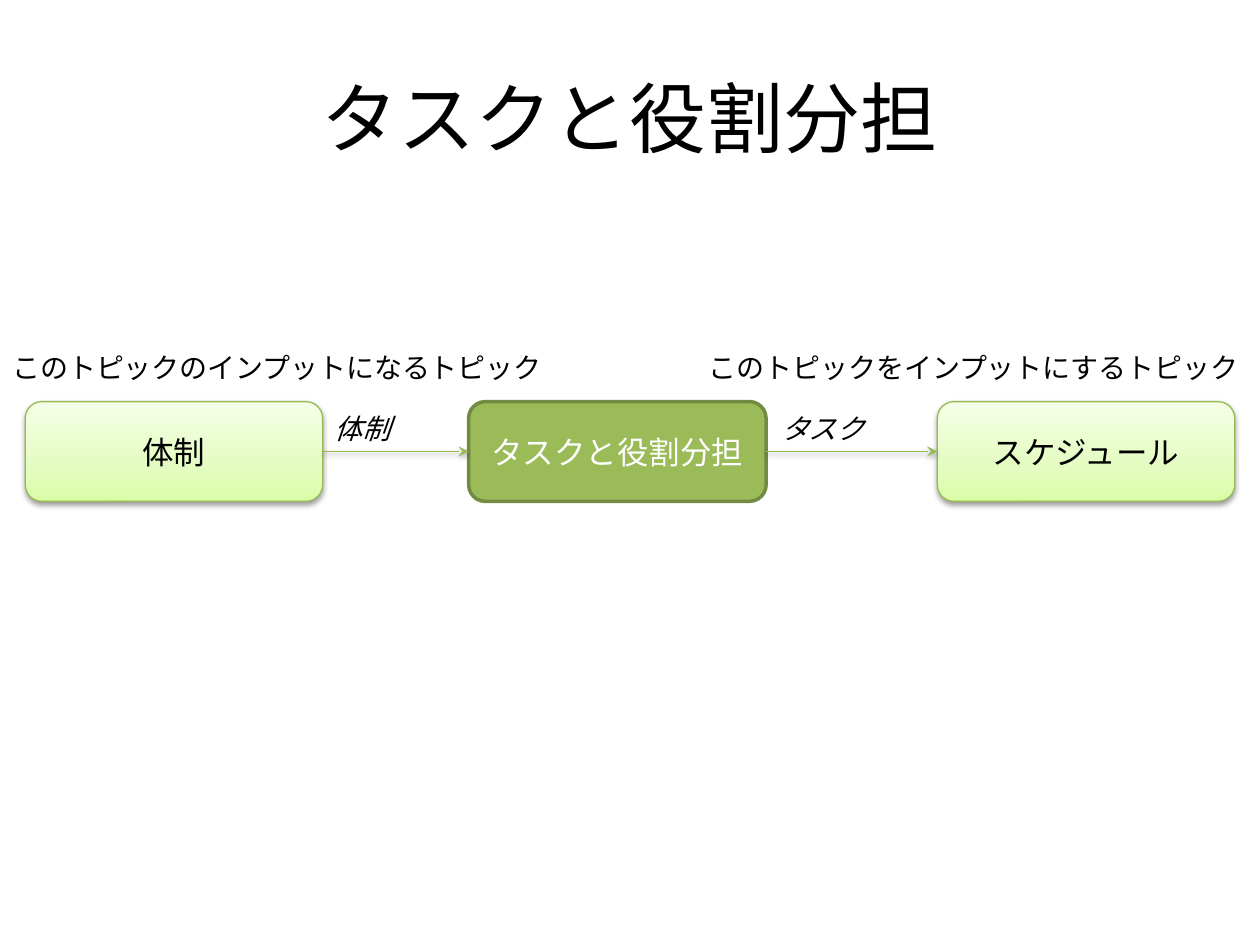
from dataclasses import dataclass

from lxml import etree
from pptx import Presentation
from pptx.dml.color import RGBColor
from pptx.enum.shapes import MSO_CONNECTOR, MSO_SHAPE
from pptx.enum.text import MSO_ANCHOR, MSO_AUTO_SIZE, PP_ALIGN
from pptx.oxml.ns import qn
from pptx.util import Pt

LEFT, CENTER = PP_ALIGN.LEFT, PP_ALIGN.CENTER
TOP, MIDDLE = MSO_ANCHOR.TOP, MSO_ANCHOR.MIDDLE
FIT_SHAPE = MSO_AUTO_SIZE.SHAPE_TO_FIT_TEXT
ROUNDED = MSO_SHAPE.ROUNDED_RECTANGLE
STRAIGHT = MSO_CONNECTOR.STRAIGHT
RIGHT_SITE, LEFT_SITE = 3, 1


@dataclass(frozen=True)
class Theme:
    """Colours, font and type sizes of the slide."""
    font: str = "Noto Sans CJK JP"
    ink: str = "000000"
    white: str = "FFFFFF"
    green: str = "9BBB59"
    green_edge: str = "738A42"
    thin_edge: str = "98B955"
    pale_stops: tuple = ((0, "DAFDA7"), (35, "E4FCC2"), (100, "F5FFE7"))
    title: int = 44
    topic: int = 18
    note: int = 16


THEME = Theme()
TOPIC_TOP, TOPIC_WIDTH, TOPIC_HEIGHT = 229.5, 170, 57


def add_node(parent, tag, **attributes):
    """Append a DrawingML element with the given attributes."""
    node = etree.SubElement(parent, qn(tag))
    for key, value in attributes.items():
        node.set(key, str(value))
    return node


def write(shape, text, size, color, align=LEFT, anchor=TOP, italic=None):
    """Put one styled paragraph in a shape and return it."""
    frame = shape.text_frame
    frame.vertical_anchor = anchor
    para = frame.paragraphs[0]
    para.text = text
    para.alignment = align
    font = para.font
    font.size = Pt(size)
    font.italic = italic
    font.color.rgb = RGBColor.from_string(color)
    font.name = THEME.font
    add_node(para._p.pPr.find(qn("a:defRPr")), "a:ea", typeface=THEME.font)
    return para


def add_text(page, bounds, text, size, wrap=True, fit=True, **style):
    """Add a text box."""
    box = page.shapes.add_textbox(*map(Pt, bounds))
    box.text_frame.word_wrap = wrap
    if fit:
        box.text_frame.auto_size = FIT_SHAPE
    return write(box, text, size, THEME.ink, **style)


def add_tab(para, position):
    """Give a paragraph one left tab stop."""
    tabs = etree.Element(qn("a:tabLst"))
    add_node(tabs, "a:tab", pos=int(Pt(position)), algn="l")
    para._p.pPr.insert(0, tabs)


def add_shadow(shape):
    """Add a soft shadow below a shape or connector."""
    effects = add_node(shape._element.spPr, "a:effectLst")
    shadow = add_node(effects, "a:outerShdw", blurRad=int(Pt(3.15)),
                      dist=int(Pt(1.57)), dir=5400000, rotWithShape=0)
    color = add_node(shadow, "a:srgbClr", val=THEME.ink)
    add_node(color, "a:alpha", val=38000)


def fill_pale(shape):
    """Fill a shape with the pale gradient, darkest at the bottom."""
    shape.fill.gradient()
    shape.fill.gradient_angle = 90
    stops = shape._element.spPr.find(qn("a:gradFill")).find(qn("a:gsLst"))
    for stop in list(stops):
        stops.remove(stop)
    for percent, color in THEME.pale_stops:
        stop = add_node(stops, "a:gs", pos=percent * 1000)
        add_node(stop, "a:srgbClr", val=color)


def set_line(line, color, width):
    """Set the colour and width of a line."""
    line.color.rgb = RGBColor.from_string(color)
    line.width = Pt(width)


def add_topic(page, left, text, current=False):
    """Add a topic box, solid when it is the current topic."""
    box = page.shapes.add_shape(
        ROUNDED, *map(Pt, (left, TOPIC_TOP, TOPIC_WIDTH, TOPIC_HEIGHT)))
    if current:
        box.fill.solid()
        box.fill.fore_color.rgb = RGBColor.from_string(THEME.green)
        set_line(box.line, THEME.green_edge, 2)
        box.shadow.inherit = False
    else:
        fill_pale(box)
        set_line(box.line, THEME.thin_edge, 0.75)
        add_shadow(box)
    write(box, text, THEME.topic, THEME.white if current else THEME.ink,
          align=CENTER, anchor=MIDDLE)
    return box


def add_arrow(page, source, target):
    """Join two topics with an arrow."""
    arrow = page.shapes.add_connector(STRAIGHT, 0, 0, 0, 0)
    arrow.begin_connect(source, RIGHT_SITE)
    arrow.end_connect(target, LEFT_SITE)
    set_line(arrow.line, THEME.thin_edge, 0.75)
    add_node(arrow.line._get_or_add_ln(), "a:tailEnd", type="stealth")
    add_shadow(arrow)


def main():
    """Build the topic flow slide."""
    deck = Presentation()
    deck.slide_width, deck.slide_height = Pt(720), Pt(540)
    page = deck.slides.add_slide(deck.slide_layouts[6])

    add_text(page, (36, 21.6, 648, 90), "タスクと役割分担", THEME.title,
             fit=False, align=CENTER, anchor=MIDDLE)

    current = add_topic(page, 267.8, "タスクと役割分担", current=True)
    before = add_topic(page, 14.4, "体制")
    after = add_topic(page, 535.6, "スケジュール")
    add_arrow(page, before, current)
    add_arrow(page, current, after)

    captions = add_text(
        page, (0, 196.6, 720, 26.6),
        "このトピックのインプットになるトピック\tこのトピックをインプットにするトピック",
        THEME.note)
    add_tab(captions, 398)

    for left, width, text in ((184.3, 46.8, "体制"), (439.2, 63.4, "タスク")):
        add_text(page, (left, 231.8, width, 26.6), text, THEME.note,
                 wrap=False, italic=True)

    deck.save("out.pptx")


main()
